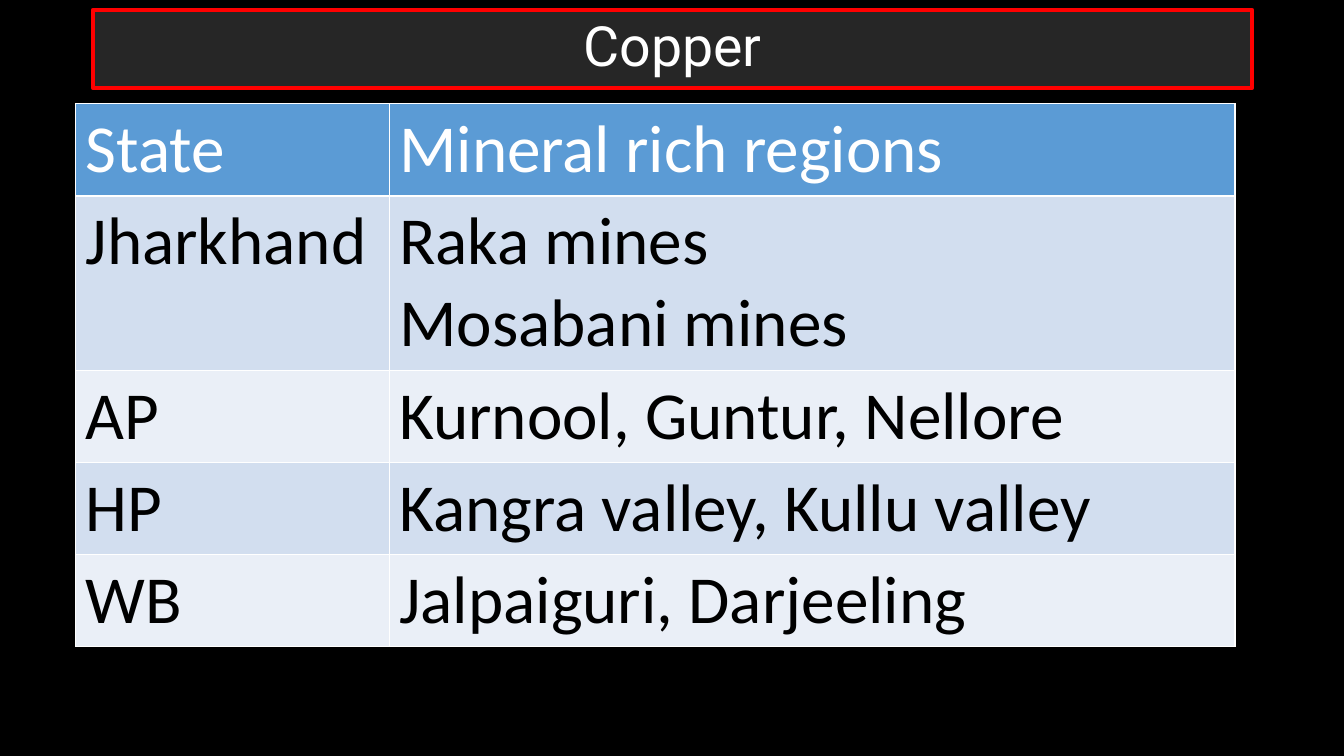
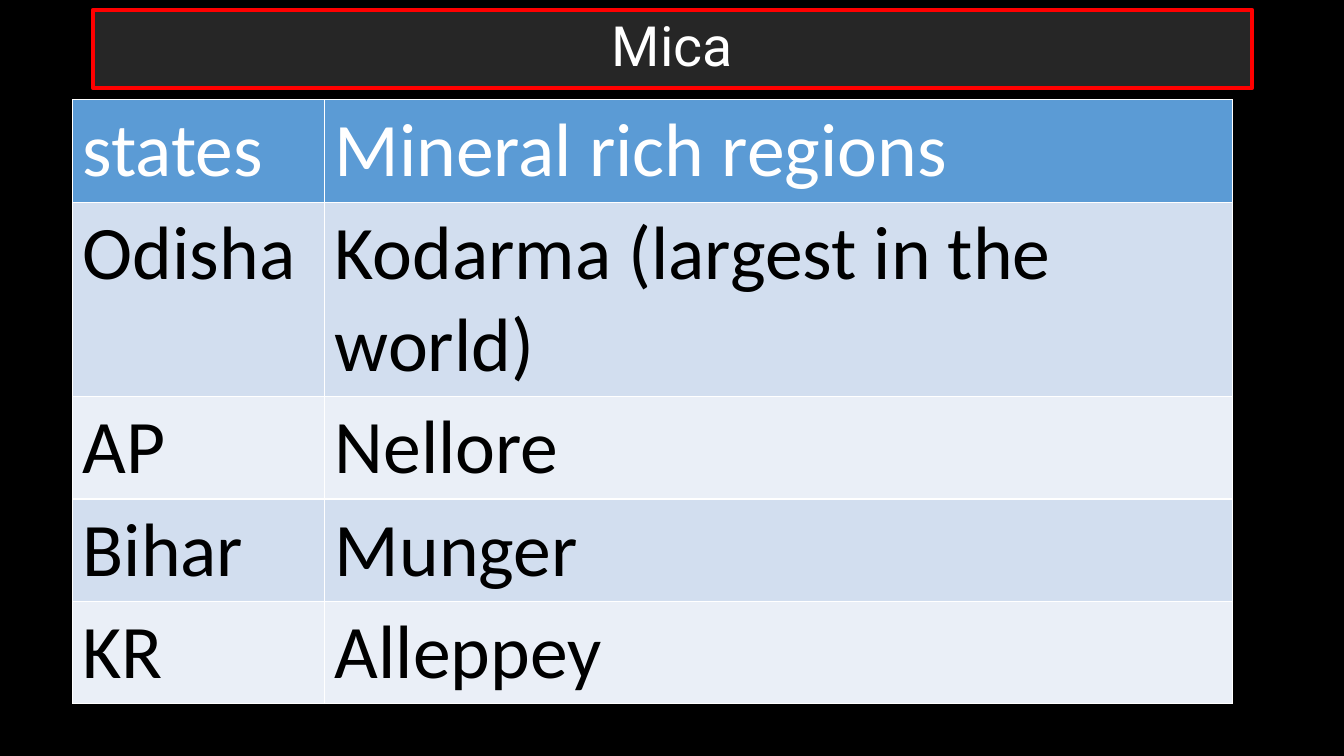
from lxml.etree import SubElement
from pptx import Presentation
from pptx.dml.color import RGBColor
from pptx.enum.text import MSO_ANCHOR, MSO_AUTO_SIZE, PP_ALIGN
from pptx.oxml.ns import qn
from pptx.util import Inches, Pt

BLACK = RGBColor(0x00, 0x00, 0x00)
WHITE = RGBColor(0xFF, 0xFF, 0xFF)
CHARCOAL = RGBColor(0x26, 0x26, 0x26)
RED = RGBColor(0xFF, 0x00, 0x00)
HEADER_BLUE = RGBColor(0x5B, 0x9B, 0xD5)
BAND_COLORS = (RGBColor(0xEA, 0xEF, 0xF7), RGBColor(0xD2, 0xDE, 0xEF))

TITLE_FONT, TABLE_FONT = "Roboto", "Calibri"
TITLE_ONLY = 5


class MineralDeck:
    def __init__(self):
        self.presentation = Presentation()
        self.presentation.slide_width = Inches(13.33)
        self.presentation.slide_height = Inches(7.5)
        self.slide = None

    def add_slide(self, title):
        layout = self.presentation.slide_layouts[TITLE_ONLY]
        self.slide = self.presentation.slides.add_slide(layout)
        background = self.slide.background.fill
        background.solid()
        background.fore_color.rgb = BLACK
        self.format_title(title)

    def format_title(self, text):
        shape = self.slide.shapes.title
        shape.left, shape.top = Inches(0.92), Inches(0.1)
        shape.width, shape.height = Inches(11.5), Inches(0.77)
        geometry = SubElement(shape.element.spPr, qn("a:prstGeom"), prst="roundRect")
        SubElement(geometry, qn("a:avLst"))
        shape.fill.solid()
        shape.fill.fore_color.rgb = CHARCOAL
        shape.line.color.rgb = RED
        shape.line.width = Pt(3)
        frame = shape.text_frame
        frame.auto_size = MSO_AUTO_SIZE.NONE
        frame.vertical_anchor = MSO_ANCHOR.MIDDLE
        paragraph = frame.paragraphs[0]
        paragraph.alignment = PP_ALIGN.CENTER
        paragraph.line_spacing = 0.9
        self.add_run(paragraph, text, TITLE_FONT, 39.6, WHITE)

    def add_run(self, paragraph, text, font_name, size, color):
        run = paragraph.add_run()
        run.text = text
        run.font.name = font_name
        run.font.size = Pt(size)
        run.font.bold = False
        run.font.color.rgb = color

    def add_table(self, left, top, column_widths, size, rows):
        """Place (line count, cell texts) rows, the first being the header."""
        heights = [Inches(round(lines * size * 1.22 / 72 + 0.1, 2)) for lines, _ in rows]
        frame = self.slide.shapes.add_table(
            len(rows), len(column_widths), Inches(left), Inches(top),
            Inches(sum(column_widths)), sum(heights))
        table = frame.table
        for column, width in zip(table.columns, column_widths):
            column.width = Inches(width)
        for row_index, (_, texts) in enumerate(rows):
            table.rows[row_index].height = heights[row_index]
            is_header = row_index == 0
            fill = HEADER_BLUE if is_header else BAND_COLORS[row_index % 2]
            color = WHITE if is_header else BLACK
            for column_index, text in enumerate(texts):
                cell = table.cell(row_index, column_index)
                self.fill_cell(cell, text, size, fill, color)

    def fill_cell(self, cell, text, size, fill, color):
        self.add_borders(cell)
        cell.fill.solid()
        cell.fill.fore_color.rgb = fill
        frame = cell.text_frame
        for index, line in enumerate(text.split("\n")):
            paragraph = frame.add_paragraph() if index else frame.paragraphs[0]
            self.add_run(paragraph, line, TABLE_FONT, size, color)

    def add_borders(self, cell):
        properties = cell._tc.get_or_add_tcPr()
        for side in ("lnL", "lnR", "lnT", "lnB"):
            border = SubElement(properties, qn(f"a:{side}"), w=str(Pt(1)))
            fill = SubElement(border, qn("a:solidFill"))
            SubElement(fill, qn("a:srgbClr"), val=str(WHITE))

    def save(self):
        self.presentation.save("out.pptx")


def main():
    deck = MineralDeck()

    deck.add_slide("Copper")
    deck.add_table(0.75, 1.03, (3.11, 8.39), 48, [
        (1, ("State", "Mineral rich regions")),
        (2, ("Jharkhand", "Raka mines\nMosabani mines")),
        (1, ("AP", "Kurnool, Guntur, Nellore")),
        (1, ("HP", "Kangra valley, Kullu valley")),
        (1, ("WB", "Jalpaiguri, Darjeeling")),
    ])

    deck.add_slide("Mica")
    deck.add_table(0.72, 0.99, (2.5, 9), 54, [
        (1, ("states", "Mineral rich regions")),
        (2, ("Odisha", "Kodarma (largest in the world)")),
        (1, ("AP", "Nellore")),
        (1, ("Bihar", "Munger")),
        (1, ("KR", "Alleppey")),
    ])

    deck.save()


if __name__ == "__main__":
    main()
